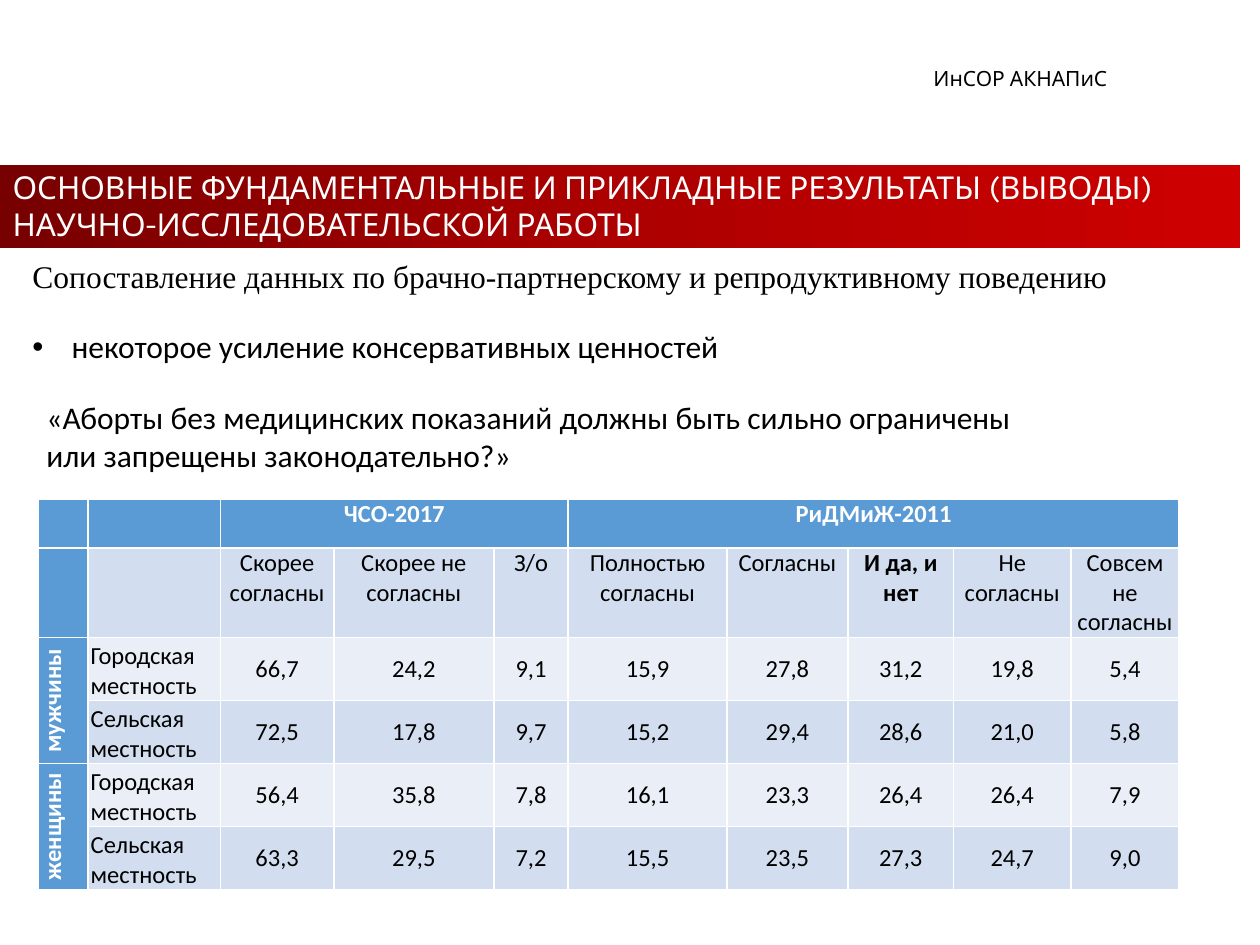
from dataclasses import dataclass

from lxml import etree
from pptx import Presentation
from pptx.dml.color import RGBColor
from pptx.enum.shapes import MSO_SHAPE
from pptx.enum.text import MSO_ANCHOR, MSO_AUTO_SIZE, PP_ALIGN
from pptx.oxml.ns import qn
from pptx.util import Inches, Pt

RECTANGLE = MSO_SHAPE.RECTANGLE
TOP, MIDDLE, BOTTOM = MSO_ANCHOR.TOP, MSO_ANCHOR.MIDDLE, MSO_ANCHOR.BOTTOM
LEFT, CENTER = PP_ALIGN.LEFT, PP_ALIGN.CENTER
NO_AUTOFIT = MSO_AUTO_SIZE.NONE
TITLE_ONLY = 5
GRID_COLUMNS, GRID_ROWS = 100, 75
SLIDE_WIDTH, SLIDE_HEIGHT = Inches(10), Inches(7.5)


@dataclass(frozen=True)
class Theme:
    """Holds the colours, fonts and type sizes of the slide."""
    black: str = "000000"
    white: str = "FFFFFF"
    header: str = "5B9BD5"
    bands: tuple = ("D2DEEF", "EAEFF7")
    reds: tuple = ((0, "770000"), (50, "AD0000"), (100, "CE0000"))
    heading_font: str = "Karla"
    serif_font: str = "Times New Roman"
    body_font: str = "Calibri"
    body_size: int = 18
    table_size: int = 14
    label_size: int = 12


THEME = Theme()

COLUMN_WIDTHS = (4, 10.5, 9, 12.7, 5.9, 12.6, 9.6, 8.4, 9.3, 8.6)
ROW_HEIGHTS = (3.9, 7, 5, 5, 5, 5)
SURVEYS = (("ЧСО-2017", 2, 4), ("РиДМиЖ-2011", 5, 9))
ANSWERS = ("Скорее согласны", "Скорее не согласны", "З/о", "Полностью согласны",
           "Согласны", "И да, и нет", "Не согласны", "Совсем не согласны")
NEUTRAL_ANSWER = "И да, и нет"
SEXES = ("мужчины", "женщины")
AREAS = ("Городская местность", "Сельская местность")
SHARES = (
    ("66,7", "24,2", "9,1", "15,9", "27,8", "31,2", "19,8", "5,4"),
    ("72,5", "17,8", "9,7", "15,2", "29,4", "28,6", "21,0", "5,8"),
    ("56,4", "35,8", "7,8", "16,1", "23,3", "26,4", "26,4", "7,9"),
    ("63,3", "29,5", "7,2", "15,5", "23,5", "27,3", "24,7", "9,0"),
)


def across(columns):
    """Turns grid columns into a length."""
    return round(SLIDE_WIDTH * columns / GRID_COLUMNS)


def down(rows):
    """Turns grid rows into a length."""
    return round(SLIDE_HEIGHT * rows / GRID_ROWS)


def to_lengths(box):
    """Turns a grid box into left, top, width and height."""
    left, top, width, height = box
    return across(left), down(top), across(width), down(height)


def style(paragraph, font, size, color, bold=False, align=LEFT):
    """Formats one paragraph."""
    paragraph.alignment = align
    paragraph.font.name = font
    paragraph.font.size = Pt(size)
    paragraph.font.bold = bold
    paragraph.font.color.rgb = RGBColor.from_string(color)


def add_text(slide, box, text, font, size):
    """Adds a wrapped black text box and returns its paragraphs."""
    frame = slide.shapes.add_textbox(*to_lengths(box)).text_frame
    frame.word_wrap = True
    frame.text = text
    for paragraph in frame.paragraphs:
        style(paragraph, font, size, THEME.black)
    return frame.paragraphs


def add_bullet(paragraph, indent):
    """Gives a paragraph a round bullet and a hanging indent."""
    properties = paragraph._p.get_or_add_pPr()
    properties.set("marL", str(indent))
    properties.set("indent", str(-indent))
    typeface = etree.Element(qn("a:buFont"), typeface="Arial")
    bullet = etree.Element(qn("a:buChar"), char="•")
    properties.insert(0, typeface)
    typeface.addnext(bullet)


def build_heading(slide, box, text):
    """Places the title over a red gradient band."""
    left, top, width, height = box
    title = slide.shapes.title
    band = slide.shapes.add_shape(
        RECTANGLE, *to_lengths((left, top + 0.3, width, height - 0.5)))
    title._element.addprevious(band._element)
    band.shadow.inherit = False
    band.line.fill.background()
    band.fill.gradient()
    band.fill.gradient_angle = 0
    stops = band.fill._fill._gradFill.find(qn("a:gsLst"))
    for stop in list(stops):
        stops.remove(stop)
    for position, color in THEME.reds:
        stop = etree.SubElement(stops, qn("a:gs"), pos=str(position * 1000))
        etree.SubElement(stop, qn("a:srgbClr"), val=color)

    title.left, title.top, title.width, title.height = to_lengths(box)
    frame = title.text_frame
    frame.text = text
    frame.word_wrap = True
    frame.auto_size = NO_AUTOFIT
    frame.vertical_anchor = TOP
    style(frame.paragraphs[0], THEME.heading_font, THEME.body_size, THEME.white)


def fill_cell(cell, text, fill, color=THEME.black, bold=False,
              align=CENTER, anchor=TOP):
    """Writes and formats one table cell."""
    cell.fill.solid()
    cell.fill.fore_color.rgb = RGBColor.from_string(fill)
    cell.margin_left = cell.margin_right = Inches(0.02)
    cell.margin_top = cell.margin_bottom = 0
    cell.vertical_anchor = anchor
    cell.text = text
    style(cell.text_frame.paragraphs[0], THEME.body_font, THEME.table_size,
          color, bold, align)


def build_answers_table(slide, left, top):
    """Places the table of answers by survey, sex and area."""
    box = (left, top, sum(COLUMN_WIDTHS), sum(ROW_HEIGHTS))
    table = slide.shapes.add_table(
        len(ROW_HEIGHTS), len(COLUMN_WIDTHS), *to_lengths(box)).table
    for column, width in zip(table.columns, COLUMN_WIDTHS):
        column.width = across(width)
    for row, height in zip(table.rows, ROW_HEIGHTS):
        row.height = down(height)

    for index in range(len(COLUMN_WIDTHS)):
        fill_cell(table.cell(0, index), "", THEME.header)
    for survey, first, last in SURVEYS:
        table.cell(0, first).merge(table.cell(0, last))
        fill_cell(table.cell(0, first), survey, THEME.header, THEME.white, True)

    fill_cell(table.cell(1, 0), "", THEME.header)
    fill_cell(table.cell(1, 1), "", THEME.bands[0])
    for index, answer in enumerate(ANSWERS, 2):
        fill_cell(table.cell(1, index), answer, THEME.bands[0],
                  bold=answer == NEUTRAL_ANSWER)

    for index, shares in enumerate(SHARES):
        row, band = index + 2, THEME.bands[(index + 1) % 2]
        fill_cell(table.cell(row, 1), AREAS[index % 2], band,
                  align=LEFT, anchor=BOTTOM)
        for column, share in enumerate(shares, 2):
            fill_cell(table.cell(row, column), share, band, anchor=MIDDLE)

    for index, sex in enumerate(SEXES):
        row = 2 + index * len(AREAS)
        cell = table.cell(row, 0)
        cell.merge(table.cell(row + 1, 0))
        fill_cell(cell, sex, THEME.header, THEME.white, True)
        cell._tc.get_or_add_tcPr().set("vert", "vert270")


def build_findings(slide, left, top):
    """Places the topic, the finding and the survey question."""
    add_text(slide, (left, top, 95.7, 4),
             "Сопоставление данных по брачно-партнерскому и репродуктивному поведению",
             THEME.serif_font, THEME.body_size)
    finding = add_text(slide, (left, top + 5.6, 57.4, 4),
                       "некоторое усиление консервативных ценностей",
                       THEME.body_font, THEME.body_size)
    add_bullet(finding[0], across(3.1))
    add_text(slide, (left + 1.1, top + 11.2, 80, 7.1),
             "«Аборты без медицинских показаний должны быть сильно ограничены\n"
             "или запрещены законодательно?»",
             THEME.body_font, THEME.body_size)


def main():
    """Builds and saves the slide."""
    deck = Presentation()
    deck.slide_width, deck.slide_height = SLIDE_WIDTH, SLIDE_HEIGHT
    slide = deck.slides.add_slide(deck.slide_layouts[TITLE_ONLY])
    build_answers_table(slide, 3, 39.6)
    build_heading(slide, (0, 12.8, 98.4, 7.1),
                  "ОСНОВНЫЕ ФУНДАМЕНТАЛЬНЫЕ И ПРИКЛАДНЫЕ РЕЗУЛЬТАТЫ (ВЫВОДЫ) "
                  "НАУЧНО-ИССЛЕДОВАТЕЛЬСКОЙ РАБОТЫ")
    add_text(slide, (73.1, 4.7, 24.2, 3), "ИнСОР АКНАПиС",
             THEME.heading_font, THEME.label_size)
    build_findings(slide, 1.6, 19.9)
    deck.save("out.pptx")


main()
